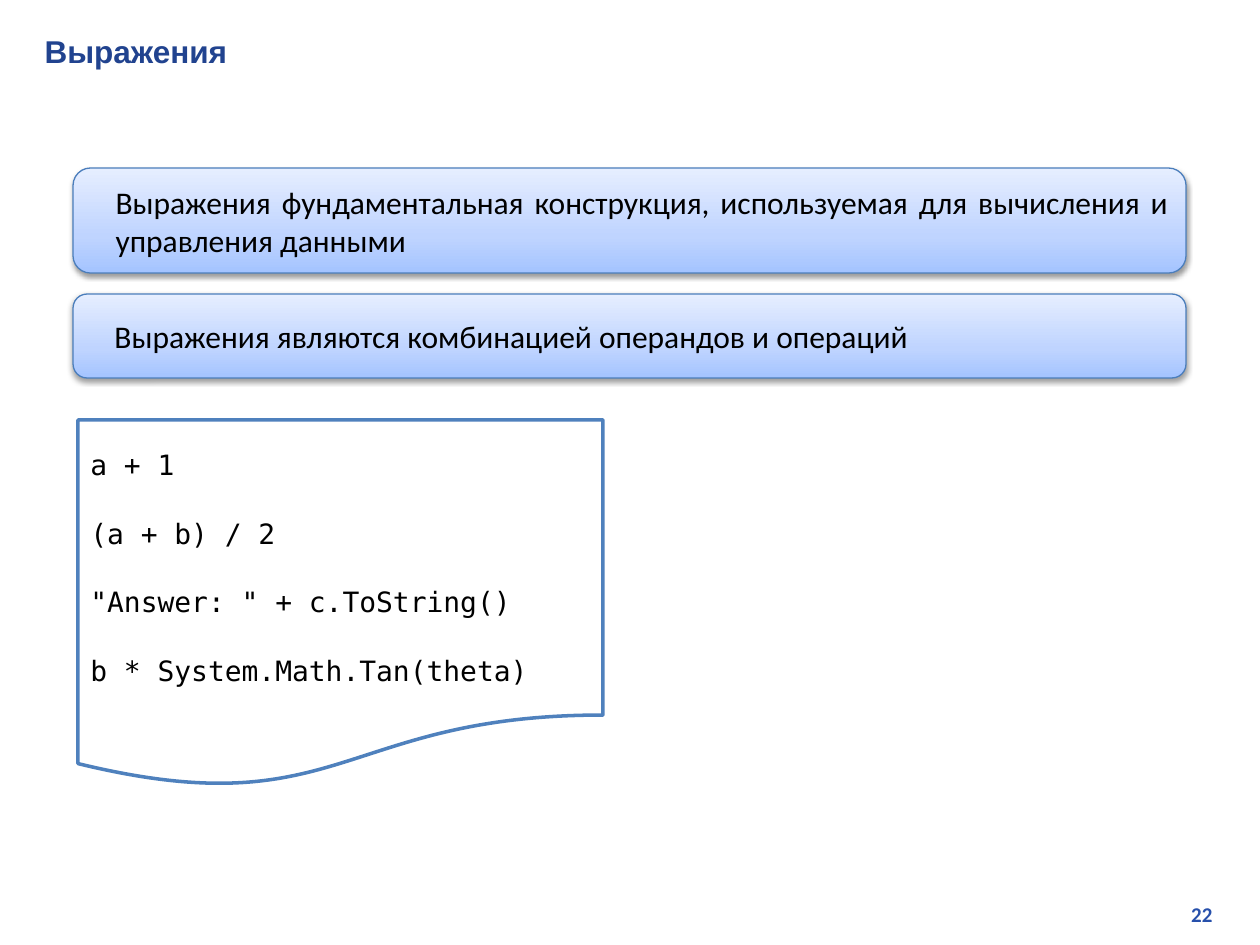
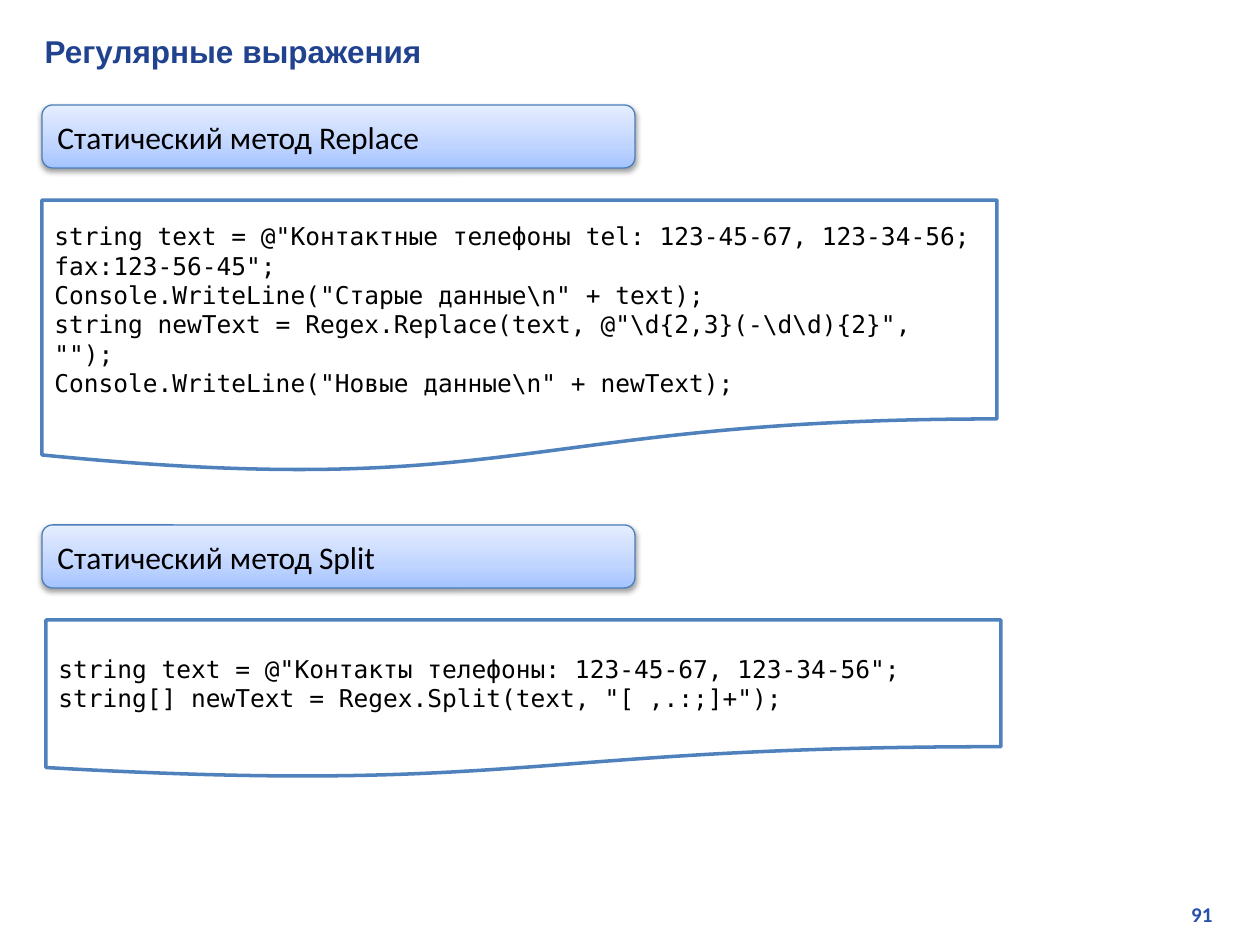
from copy import deepcopy

from lxml.etree import SubElement
from pptx import Presentation
from pptx.dml.color import RGBColor
from pptx.enum.shapes import MSO_SHAPE
from pptx.enum.text import MSO_ANCHOR, MSO_AUTO_SIZE, PP_ALIGN
from pptx.oxml.ns import qn
from pptx.util import Emu, Pt

PX_PER_INCH = 126


def px(length):
    return Emu(round(length * 914400 / PX_PER_INCH))


def rgb(hex_code):
    return RGBColor.from_string(hex_code)


def write(frame, *paragraphs, font="Calibri", size=18, color="000000", bold=False,
          align=PP_ALIGN.LEFT, anchor=MSO_ANCHOR.MIDDLE, gap=0, indent=0):
    frame.word_wrap = True
    frame.auto_size = MSO_AUTO_SIZE.NONE
    frame.vertical_anchor = anchor
    for index, content in enumerate(paragraphs):
        paragraph = frame.paragraphs[0] if index == 0 else frame.add_paragraph()
        paragraph.alignment = align
        paragraph.space_before = Pt(gap if index else 0)
        if indent:
            properties = paragraph._p.get_or_add_pPr()
            properties.set("marL", str(px(indent)))
            properties.set("indent", "0")
        run = paragraph.add_run()
        run.text = content
        run.font.name = font
        run.font.size = Pt(size)
        run.font.bold = bold
        run.font.color.rgb = rgb(color)


class Deck:
    TITLE_COLOR = "21438F"
    NUMBER_COLOR = "2750AB"
    BANNER_LINE = "4B7EBC"
    CODE_LINE = "4F81BD"
    BANNER_STOPS = ((0, "A4C4FF"), (0.35, "BFD4FF"), (1, "E6EEFF"))

    def __init__(self):
        self.presentation = Presentation()
        self.presentation.slide_width = px(1260)
        self.presentation.slide_height = px(945)
        self.slide = None

    def start_slide(self, heading, number):
        self.slide = self.presentation.slides.add_slide(self.presentation.slide_layouts[5])
        title = self.slide.shapes.title
        title.left, title.top, title.width, title.height = map(px, (32, 26, 1202, 50))
        write(title.text_frame, heading, font="Arial", color=self.TITLE_COLOR, bold=True)
        page = self.slide.shapes.add_textbox(*map(px, (958, 895, 267, 38)))
        write(page.text_frame, str(number), size=12, color=self.NUMBER_COLOR, bold=True,
              align=PP_ALIGN.RIGHT, anchor=MSO_ANCHOR.TOP)

    def outline(self, preset, box, color, weight):
        shape = self.slide.shapes.add_shape(preset, *map(px, box))
        shape.shadow.inherit = False
        shape.line.color.rgb = rgb(color)
        shape.line.width = Pt(weight)
        return shape

    def banner(self, box, statement, **text_format):
        banner = self.outline(MSO_SHAPE.ROUNDED_RECTANGLE, box, self.BANNER_LINE, 0.75)
        self.shade(banner)
        self.drop_shadow(banner)
        write(banner.text_frame, statement, **text_format)

    def shade(self, banner):
        banner.fill.gradient()
        banner.fill.gradient_angle = 90
        stops = banner._element.spPr.find(qn("a:gradFill")).find(qn("a:gsLst"))
        stops.append(deepcopy(stops[0]))
        for stop, (position, color) in zip(banner.fill.gradient_stops, self.BANNER_STOPS):
            stop.position = position
            stop.color.rgb = rgb(color)

    def drop_shadow(self, banner):
        effects = banner._element.spPr.find(qn("a:effectLst"))
        shadow = SubElement(effects, qn("a:outerShdw"), blurRad=str(Pt(3.1)),
                            dist=str(Pt(1.6)), dir="5400000", rotWithShape="0")
        tone = SubElement(shadow, qn("a:srgbClr"), val="000000")
        SubElement(tone, qn("a:alpha"), val="38000")

    def code(self, box, *lines, size=14, gap=0):
        listing = self.outline(MSO_SHAPE.FLOWCHART_DOCUMENT, box, self.CODE_LINE, 2)
        listing.fill.solid()
        listing.fill.fore_color.rgb = rgb("FFFFFF")
        write(listing.text_frame, *lines, font="DejaVu Sans Mono", size=size, gap=gap)


def add_expressions(deck):
    deck.start_slide("Выражения", 22)
    definitions = (
        (168, 105, "Выражения фундаментальная конструкция, используемая для вычисления "
                   "и управления данными"),
        (294, 84, "Выражения являются комбинацией операндов и операций"),
    )
    for top, height, statement in definitions:
        deck.banner((73, top, 1113, height), statement, align=PP_ALIGN.JUSTIFY, indent=25)
    deck.code((78, 420, 525, 368), "a + 1", "(a + b) / 2", '"Answer: " + c.ToString()',
              "b * System.Math.Tan(theta)", size=16, gap=20)


def add_regular_expressions(deck):
    deck.start_slide("Регулярные выражения", 91)
    methods = (
        ("Replace", 105, 42, 273, (
            'string text = @"Контактные телефоны tel: 123-45-67, 123-34-56; fax:123-56-45";',
            r'Console.WriteLine("Старые данные\n" + text);',
            r'string newText = Regex.Replace(text, @"\d{2,3}(-\d\d){2}", "");',
            r'Console.WriteLine("Новые данные\n" + newText);',
        )),
        ("Split", 525, 46, 158, (
            'string text = @"Контакты телефоны: 123-45-67, 123-34-56";',
            'string[] newText = Regex.Split(text, "[ ,.:;]+");',
        )),
    )
    for method, top, code_left, code_height, lines in methods:
        deck.banner((42, top, 593, 63), f"Статический метод {method}")
        deck.code((code_left, top + 95, 955, code_height), *lines)


def main():
    deck = Deck()
    add_expressions(deck)
    add_regular_expressions(deck)
    deck.presentation.save("out.pptx")


if __name__ == "__main__":
    main()
